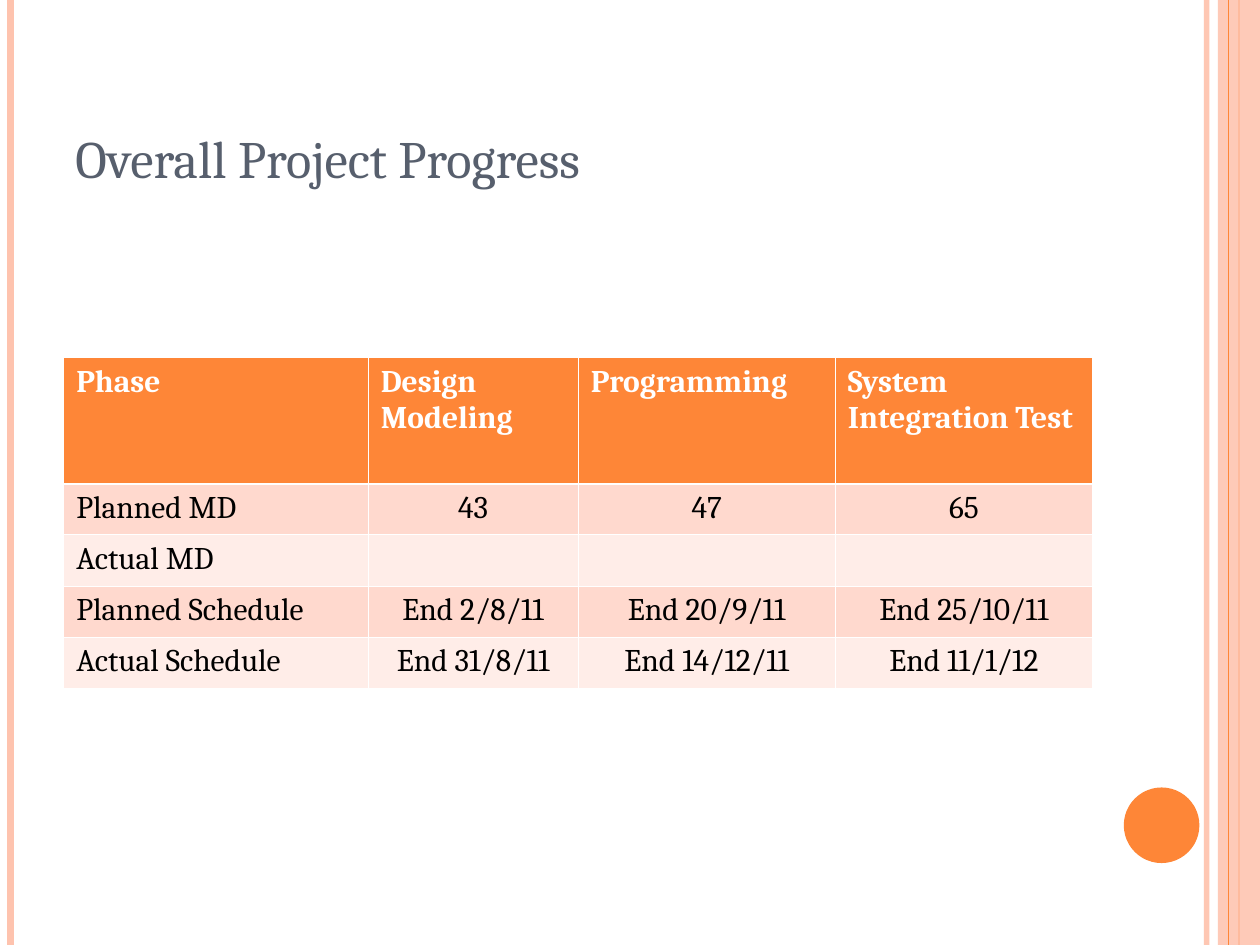
from dataclasses import dataclass

from lxml.etree import SubElement
from pptx import Presentation
from pptx.dml.color import RGBColor
from pptx.enum.shapes import MSO_CONNECTOR as Connector, MSO_SHAPE as Shape
from pptx.enum.text import MSO_ANCHOR as Anchor, PP_ALIGN as Align
from pptx.oxml.ns import qn
from pptx.util import Pt


@dataclass(frozen=True)
class Theme:
    font: str = "Cambria"
    title_size: float = 30
    table_size: float = 18
    slate: str = "575F6D"
    orange: str = "FE8637"
    peach: str = "FEC3AE"
    bands: tuple = ("FFD9CE", "FFEDE8")
    white: str = "FFFFFF"
    black: str = "000000"


THEME = Theme()
WIDTH, HEIGHT = 720, 540
TITLE = "Overall Project Progress"
TITLE_BOX = (36, 21.6, 588, 90)
ROWS = [
    ("Phase", "Design Modeling", "Programming", "System Integration Test"),
    ("Planned MD", "43", "47", "65"),
    ("Actual MD", "", "", ""),
    ("Planned Schedule", "End 2/8/11", "End 20/9/11", "End 25/10/11"),
    ("Actual Schedule", "End 31/8/11", "End 14/12/11", "End 11/1/12"),
]
TABLE_LEFT, TABLE_TOP = 36.4, 204.4
COLUMN_WIDTHS = (174, 120, 147, 147)
HEADER_HEIGHT, ROW_HEIGHT = 72, 29.2
THIN, THICK = 0.45, 1.47
STRIPES_BEHIND = [
    (689.5, THEME.peach, 3, 93),
    (6, THEME.peach, 4.5, 100),
    (708, THEME.orange, 1.5, 100),
]
STRIPE_FRONT = (702, THEME.orange, 0.75, 100)
BAND = (696, 0, 24, HEIGHT)
DISC = (642.2, 450, 43.2, 43.2)


def rgb(value):
    return RGBColor.from_string(value)


def points(*values):
    return [Pt(value) for value in values]


def set_opacity(element, percent):
    color = next(element.iter(qn("a:srgbClr")))
    SubElement(color, qn("a:alpha"), val=str(percent * 1000))


def add_stripe(slide, x, color, width, opacity):
    stripe = slide.shapes.add_connector(Connector.STRAIGHT, *points(x, 0, x, HEIGHT))
    stripe.line.color.rgb = rgb(color)
    stripe.line.width = Pt(width)
    properties = stripe.element.spPr
    if opacity < 100:
        set_opacity(properties, opacity)
    SubElement(properties, qn("a:effectLst"))


def add_plain_shape(slide, kind, box, color):
    shape = slide.shapes.add_shape(kind, *points(*box))
    shape.shadow.inherit = False
    shape.fill.solid()
    shape.fill.fore_color.rgb = rgb(color)
    shape.line.fill.background()
    return shape


def style_font(font, size, color, bold=False):
    font.name = THEME.font
    font.size = Pt(size)
    font.color.rgb = rgb(color)
    font.bold = bold


def add_title(slide):
    frame = slide.shapes.add_textbox(*points(*TITLE_BOX)).text_frame
    frame.word_wrap = True
    frame.vertical_anchor = Anchor.BOTTOM
    frame.text = TITLE
    style_font(frame.paragraphs[0].font, THEME.title_size, THEME.slate)


def set_borders(cell, widths):
    properties = cell._tc.get_or_add_tcPr()
    for index, (side, width) in enumerate(widths.items()):
        border = properties.makeelement(qn(f"a:ln{side}"), {"w": str(int(Pt(width)))})
        fill = SubElement(border, qn("a:solidFill"))
        SubElement(fill, qn("a:srgbClr"), val=THEME.white)
        properties.insert(index, border)


def add_table(slide):
    heights = [HEADER_HEIGHT] + [ROW_HEIGHT] * (len(ROWS) - 1)
    box = points(TABLE_LEFT, TABLE_TOP, sum(COLUMN_WIDTHS), sum(heights))
    table = slide.shapes.add_table(len(ROWS), len(COLUMN_WIDTHS), *box).table
    for column, width in zip(table.columns, COLUMN_WIDTHS):
        column.width = Pt(width)
    for row_index, (row, height, texts) in enumerate(zip(table.rows, heights, ROWS)):
        row.height = Pt(height)
        header = row_index == 0
        fill = THEME.orange if header else THEME.bands[(row_index - 1) % 2]
        top = THICK if row_index == 1 else THIN
        bottom = THICK if header else THIN
        for column_index, (cell, text) in enumerate(zip(row.cells, texts)):
            cell.text = text
            cell.fill.solid()
            cell.fill.fore_color.rgb = rgb(fill)
            paragraph = cell.text_frame.paragraphs[0]
            centred = column_index > 0 and not header
            paragraph.alignment = Align.CENTER if centred else Align.LEFT
            color = THEME.white if header else THEME.black
            style_font(paragraph.font, THEME.table_size, color, header)
            set_borders(cell, {"L": THIN, "R": THIN, "T": top, "B": bottom})


def main():
    """Build the project progress slide and save it."""
    presentation = Presentation()
    presentation.slide_width, presentation.slide_height = points(WIDTH, HEIGHT)
    slide = presentation.slides.add_slide(presentation.slide_layouts[6])
    for stripe in STRIPES_BEHIND:
        add_stripe(slide, *stripe)
    band = add_plain_shape(slide, Shape.RECTANGLE, BAND, THEME.peach)
    set_opacity(band.element.spPr, 87)
    add_stripe(slide, *STRIPE_FRONT)
    add_plain_shape(slide, Shape.OVAL, DISC, THEME.orange)
    add_title(slide)
    add_table(slide)
    presentation.save("out.pptx")


if __name__ == "__main__":
    main()
